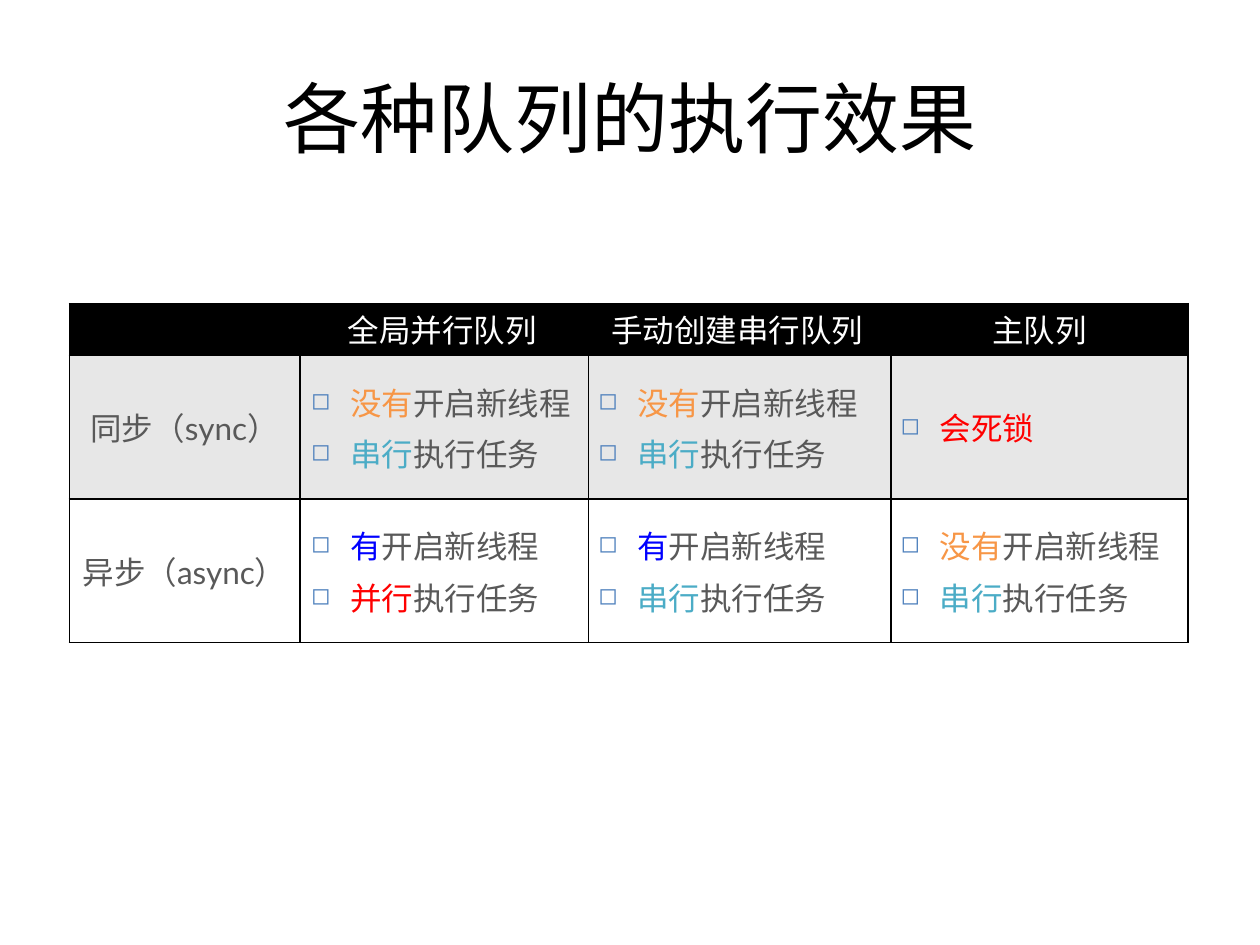
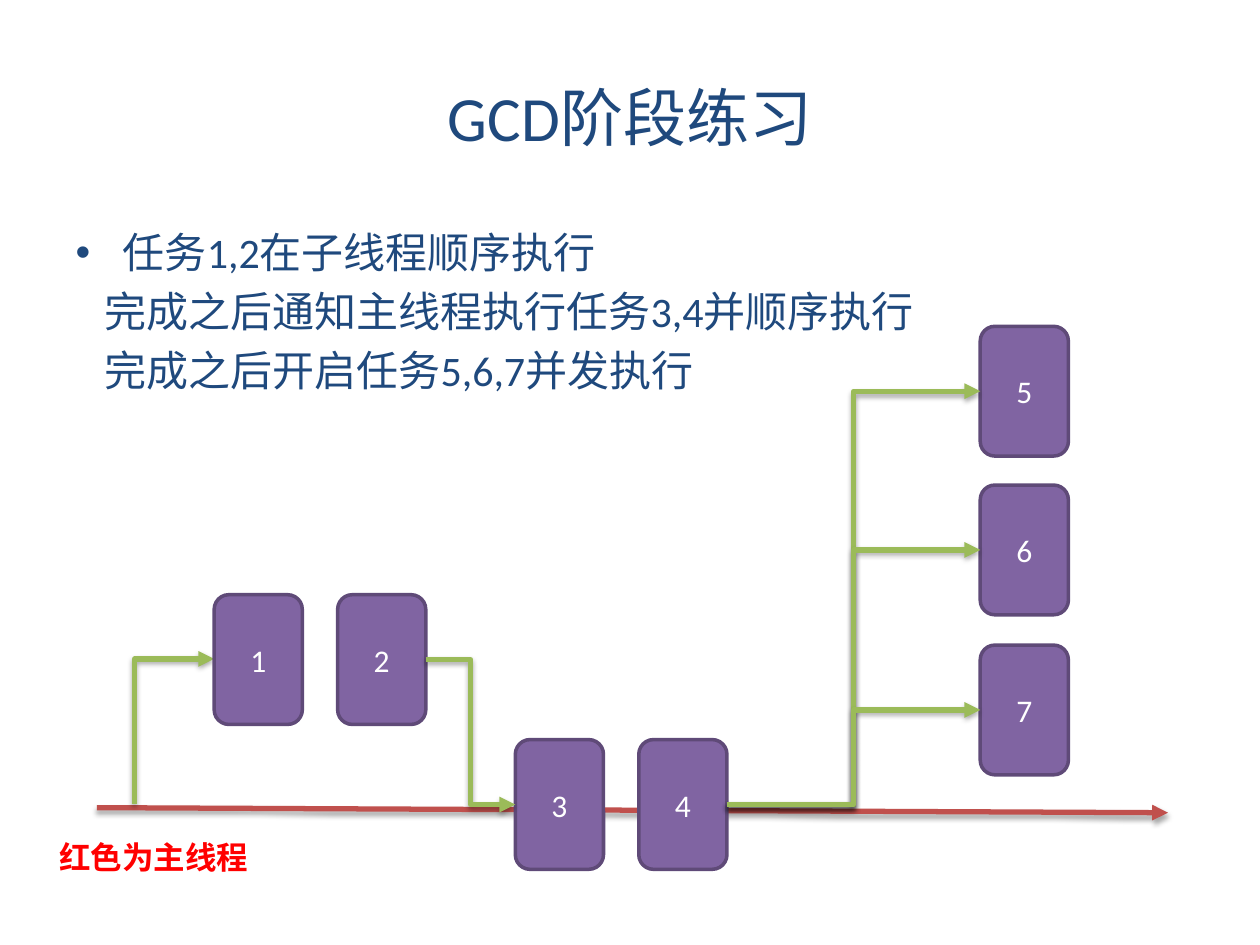
from lxml import etree
from pptx import Presentation
from pptx.dml.color import RGBColor
from pptx.enum.shapes import MSO_CONNECTOR as CONNECTOR, MSO_SHAPE as SHAPE
from pptx.enum.text import MSO_ANCHOR as ANCHOR, PP_ALIGN as ALIGN
from pptx.oxml import parse_xml
from pptx.oxml.ns import nsdecls, qn
from pptx.util import Pt

PX = 9144  # 100 px to the inch

BLACK = RGBColor(0x00, 0x00, 0x00)
WHITE = RGBColor(0xFF, 0xFF, 0xFF)
BAND = RGBColor(0xE7, 0xE7, 0xE7)
GREY = RGBColor(0x59, 0x59, 0x59)
ORANGE = RGBColor(0xF7, 0x96, 0x46)
TEAL = RGBColor(0x4B, 0xAC, 0xC6)
BLUE = RGBColor(0x00, 0x00, 0xFF)
RED = RGBColor(0xFF, 0x00, 0x00)
BULLET = RGBColor(0x4F, 0x81, 0xBD)
NAVY = RGBColor(0x1F, 0x49, 0x7D)
PURPLE = RGBColor(0x80, 0x64, 0xA2)
DARK_PURPLE = RGBColor(0x5F, 0x4A, 0x78)
GREEN = RGBColor(0x9B, 0xBB, 0x59)
BRICK = RGBColor(0xC0, 0x50, 0x4D)


def add_run(paragraph, text, size, colour, font="Calibri", bold=False):
    run = paragraph.add_run()
    run.text = text
    run.font.size = Pt(size)
    run.font.name = font
    run.font.bold = bold
    run.font.color.rgb = colour


def add_arrow(slide, kind, start, end, colour):
    """Arrow with a soft shadow below it."""
    arrow = slide.shapes.add_connector(kind, *[value * PX for value in (*start, *end)])
    arrow.line.color.rgb = colour
    arrow.line.width = Pt(3)
    arrow.line._get_or_add_ln().append(parse_xml(f'<a:tailEnd {nsdecls("a")} type="triangle"/>'))
    arrow._element.spPr.append(parse_xml(
        f'<a:effectLst {nsdecls("a")}>'
        f'<a:outerShdw blurRad="{Pt(3.1)}" dist="{Pt(1.8)}" dir="5400000" rotWithShape="0">'
        '<a:srgbClr val="000000"><a:alpha val="35000"/></a:srgbClr>'
        '</a:outerShdw></a:effectLst>'))
    return arrow


presentation = Presentation()
presentation.slide_width = 1000 * PX
presentation.slide_height = 750 * PX
TITLE_AND_CONTENT, TITLE_ONLY = (presentation.slide_layouts[index] for index in (1, 5))

# Slide 1: queue comparison
slide = presentation.slides.add_slide(TITLE_ONLY)
add_run(slide.shapes.title.text_frame.paragraphs[0], "各种队列的执行效果", 44, BLACK)

# Table grid
column_widths = [183, 229, 240, 236]
row_heights = [41, 114, 114]
row_fills = [BLACK, BAND, WHITE]
table = slide.shapes.add_table(3, 4, 55 * PX, 241 * PX,
                               sum(column_widths) * PX, sum(row_heights) * PX).table
table.first_row = table.horz_banding = False
for column, width in zip(table.columns, column_widths):
    column.width = width * PX
for row, height, fill in zip(table.rows, row_heights, row_fills):
    row.height = height * PX
    for cell in row.cells:
        properties = cell._tc.get_or_add_tcPr()
        for side in ("lnL", "lnR", "lnT", "lnB"):
            properties.append(parse_xml(
                f'<a:{side} {nsdecls("a")} w="{Pt(1)}"><a:solidFill>'
                f'<a:srgbClr val="{BLACK}"/></a:solidFill></a:{side}>'))
        cell.fill.solid()
        cell.fill.fore_color.rgb = fill

# Texts over the grid: each entry is a list of paragraphs, each a list of runs
no_thread = [("没有", ORANGE), ("开启新线程", GREY)]
new_thread = [("有", BLUE), ("开启新线程", GREY)]
serial = [("串行", TEAL), ("执行任务", GREY)]
parallel = [("并行", RED), ("执行任务", GREY)]
deadlock = [("会死锁", RED)]
grid_texts = [
    [None, [[("全局并行队列", WHITE)]], [[("手动创建串行队列", WHITE)]], [[("主队列", WHITE)]]],
    [[[("同步（sync）", GREY)]], [no_thread, serial], [no_thread, serial], [deadlock]],
    [[[("异步（async）", GREY)]], [new_thread, parallel], [new_thread, serial],
     [no_thread, serial]],
]
text_columns = [(55, 183), (237, 228), (465, 240), (705, 240)]
text_rows = [(240, 44), (285, 110), (399, 110)]
for row_index, (top, height) in enumerate(text_rows):
    for column_index, (left, width) in enumerate(text_columns):
        paragraphs = grid_texts[row_index][column_index]
        if not paragraphs:
            continue
        frame = slide.shapes.add_textbox(left * PX, top * PX, width * PX, height * PX).text_frame
        frame.word_wrap = True
        frame.vertical_anchor = ANCHOR.MIDDLE
        for index, runs in enumerate(paragraphs):
            paragraph = frame.add_paragraph() if index else frame.paragraphs[0]
            paragraph.space_before = Pt(8)
            if row_index and column_index:
                properties = paragraph._p.get_or_add_pPr()
                properties.set("marL", str(31 * PX))
                properties.set("indent", str(-31 * PX))
                colour = etree.SubElement(properties, qn("a:buClr"))
                etree.SubElement(colour, qn("a:srgbClr"), val=str(BULLET))
                etree.SubElement(properties, qn("a:buSzPct"), val="75000")
                etree.SubElement(properties, qn("a:buChar"), char="◻")
            else:
                paragraph.alignment = ALIGN.CENTER
            for text, colour in runs:
                add_run(paragraph, text, 18, colour, "Lato")

# Slide 2: exercise
slide = presentation.slides.add_slide(TITLE_AND_CONTENT)
add_run(slide.shapes.title.text_frame.paragraphs[0], "GCD阶段练习", 36, NAVY)

# Task description: one bullet, then two indented lines
steps = ["任务1,2在子线程顺序执行", "完成之后通知主线程执行任务3,4并顺序执行", "完成之后开启任务5,6,7并发执行"]
frame = slide.placeholders[1].text_frame
for index, step in enumerate(steps):
    paragraph = frame.add_paragraph() if index else frame.paragraphs[0]
    add_run(paragraph, step, 24, NAVY)
    if index:
        properties = paragraph._p.get_or_add_pPr()
        properties.set("marL", str(23 * PX))
        properties.set("indent", "0")
        etree.SubElement(properties, qn("a:buNone"))

# Main thread
add_arrow(slide, CONNECTOR.STRAIGHT, (77, 641), (927, 645), BRICK)

# Branch from the main thread up to task 1: a single bend, turned a quarter
branch = add_arrow(slide, CONNECTOR.ELBOW, (196, 612), (81, 549), GREEN)
branch._element.spPr.find(qn("a:prstGeom")).set("prst", "bentConnector2")
branch._element.spPr.find(qn("a:xfrm")).set("rot", "5400000")

# Tasks
task_positions = [(170, 472), (268, 472), (409, 587), (507, 587),
                  (778, 259), (778, 385), (778, 512)]
tasks = {}
for number, (left, top) in enumerate(task_positions, start=1):
    task = slide.shapes.add_shape(SHAPE.ROUNDED_RECTANGLE, left * PX, top * PX, 70 * PX, 103 * PX)
    task.shadow.inherit = False
    task.fill.solid()
    task.fill.fore_color.rgb = PURPLE
    task.line.color.rgb = DARK_PURPLE
    task.line.width = Pt(2)
    task.text_frame.vertical_anchor = ANCHOR.MIDDLE
    paragraph = task.text_frame.paragraphs[0]
    paragraph.alignment = ALIGN.CENTER
    add_run(paragraph, str(number), 18, WHITE)
    tasks[number] = task

# Order of the tasks: right side to left side
for before, after in [(2, 3), (4, 5), (4, 6), (4, 7)]:
    arrow = add_arrow(slide, CONNECTOR.ELBOW, (0, 0), (100, 100), GREEN)
    arrow.begin_connect(tasks[before], 3)
    arrow.end_connect(tasks[after], 1)

# Legend
legend = slide.shapes.add_textbox(37 * PX, 660 * PX, 172 * PX, 40 * PX)
legend.text_frame.word_wrap = False
add_run(legend.text_frame.paragraphs[0], "红色为主线程", 18, RED, bold=True)

presentation.save("out.pptx")
